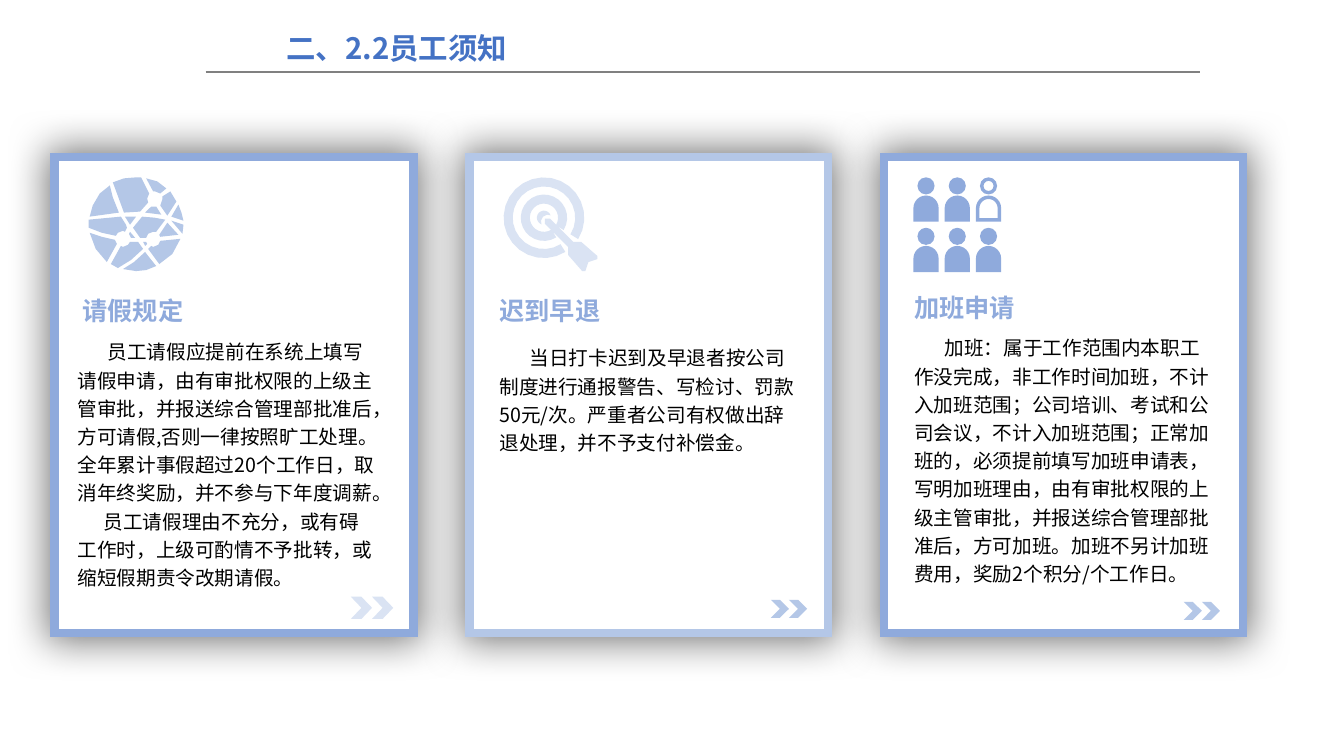
from math import cos, radians, sin

from lxml import etree
from pptx import Presentation
from pptx.dml.color import RGBColor
from pptx.enum.shapes import MSO_CONNECTOR, MSO_SHAPE
from pptx.enum.text import MSO_ANCHOR, PP_ALIGN
from pptx.oxml.ns import qn
from pptx.util import Inches, Pt

RECTANGLE, CHEVRON = MSO_SHAPE.RECTANGLE, MSO_SHAPE.CHEVRON
STRAIGHT = MSO_CONNECTOR.STRAIGHT
CENTER, LEFT = PP_ALIGN.CENTER, PP_ALIGN.LEFT
MIDDLE, TOP = MSO_ANCHOR.MIDDLE, MSO_ANCHOR.TOP
FONT = "Noto Sans CJK SC"
COLORS = {
    "title": "4472C4", "rule": "808080", "text": "000000", "white": "FFFFFF",
    "strong": "8FAADC", "soft": "B4C7E7", "pale": "DAE3F3",
}
CARD_TOP, CARD_WIDTH, CARD_HEIGHT = 1.56, 3.56, 4.72
CARD_LEFT, LAST_CARD_LEFT = 0.54, 8.77
GLOBE_CELLS = [
    [(.56, .74), (.59, .78), (.67, .88), (.57, .92), (.47, .93), (.34, .91), (.45, .84)],
    [(.54, .64), (.57, .64), (.58, .66), (.56, .68)],
    [(.41, .64), (.49, .64), (.54, .71), (.42, .82), (.29, .9), (.22, .86), (.32, .68),
     (.34, .69), (.39, .67)],
    [(.91, .61), (.83, .76), (.7, .86), (.59, .71), (.62, .68), (.64, .69), (.69, .67),
     (.71, .63)],
    [(.01, .55), (.13, .59), (.26, .62), (.28, .66), (.18, .84), (.07, .71)],
    [(.41, .54), (.46, .6), (.42, .6), (.4, .56)],
    [(.78, .45), (.89, .57), (.71, .59), (.7, .57)],
    [(.82, .43), (.94, .47), (.93, .56)],
    [(.32, .39), (.37, .47), (.38, .5), (.36, .54), (.34, .53), (.29, .55), (.27, .58),
     (.13, .55), (0, .5), (0, .42)],
    [(.53, .39), (.65, .4), (.76, .42), (.67, .54), (.64, .54), (.59, .56), (.57, .6),
     (.51, .6), (.44, .5)],
    [(.47, .39), (.41, .47), (.36, .39)],
    [(.62, .29), (.67, .29), (.72, .37), (.56, .35)],
    [(.89, .27), (.92, .35), (.94, .43), (.82, .39)],
    [(.81, .14), (.87, .24), (.78, .38), (.71, .28), (.73, .22), (.73, .19)],
    [(.21, .08), (.24, .2), (.3, .35), (.01, .39), (.04, .28), (.11, .16)],
    [(.57, .01), (.68, .04), (.77, .11), (.71, .16), (.66, .14), (.64, .14)],
    [(.47, 0), (.52, 0), (.6, .16), (.58, .21), (.59, .25), (.51, .34), (.35, .35),
     (.24, .05), (.35, .01)],
]


def rgb(name):
    return RGBColor.from_string(COLORS[name])


def add_run(para, text, size, color, bold=False):
    span = para.add_run()
    span.text = text
    span.font.size = Pt(size)
    span.font.name = FONT
    span.font.bold = bold
    span.font.color.rgb = rgb(color)
    etree.SubElement(span.font._element, qn("a:ea"), typeface=FONT)


def set_frame(frame, anchor, horizontal, vertical):
    frame.word_wrap = True
    frame.vertical_anchor = anchor
    frame.margin_left = frame.margin_right = Inches(horizontal)
    frame.margin_top = frame.margin_bottom = Inches(vertical)


def add_text(page, left, top, width, height, entries, size, color, bold=False):
    box = page.shapes.add_textbox(*map(Inches, (left, top, width, height)))
    set_frame(box.text_frame, TOP, 0.1, 0.05)
    for number, (text, indent) in enumerate(entries):
        para = box.text_frame.add_paragraph() if number else box.text_frame.paragraphs[0]
        para.alignment = LEFT
        para.line_spacing = 1.2
        para._p.get_or_add_pPr().set("indent", str(Inches(indent)))
        add_run(para, text, size, color, bold)


def paint(shape, color):
    shape.shadow.inherit = False
    shape.fill.solid()
    shape.fill.fore_color.rgb = rgb(color)
    shape.line.fill.background()
    return shape


def add_solid(page, kind, left, top, width, height, color):
    shape = page.shapes.add_shape(kind, *map(Inches, (left, top, width, height)))
    return paint(shape, color)


def add_icon(page, left, top, contours, color):
    builder = None
    for contour in contours:
        points = [(Inches(left + x), Inches(top + y)) for x, y in contour]
        if builder is None:
            builder = page.shapes.build_freeform(*points[0], scale=1.0)
        else:
            builder.move_to(*points[0])
        builder.add_line_segments(points[1:], close=True)
    paint(builder.convert_to_shape(), color)


def arc(x, y, radius, start, end, steps=12):
    angles = [radians(start + (end - start) * step / steps) for step in range(steps + 1)]
    return [(x + radius * cos(angle), y + radius * sin(angle)) for angle in angles]


def globe_icon(page, left, top):
    add_icon(page, left, top, GLOBE_CELLS, "soft")


def target_icon(page, left, top):
    rings = [arc(0.4, 0.4, outer, 58, 392, 24) + arc(0.4, 0.4, inner, 392, 58, 24)
             for outer, inner in ((0.4, 0.31), (0.23, 0.14))]
    bullseye = arc(0.4, 0.4, 0.07, 110, 340) + [(0.43, 0.37), (0.39, 0.39), (0.37, 0.43)]
    upper = [(0.46, 0.41), (0.69, 0.64), (0.77, 0.64), (0.93, 0.78), (0.93, 0.81)]
    lower = [(y, x) for x, y in reversed(upper)]
    arrow = [(0.41, 0.41)] + upper + [(0.84, 0.84)] + lower
    add_icon(page, left, top, rings + [bullseye, arrow], "pale")


def person(left, top, inset=0):
    x, y = left + 0.125, top + 0.305
    radius, bottom = 0.125 - inset, top + 0.44 - inset
    head = arc(x, top + 0.085, 0.085 - inset, 0, 360)
    body = arc(x, y, radius, 180, 360) + [(x + radius, bottom), (x - radius, bottom)]
    return [head, body]


def people_icon(page, left, top):
    contours = []
    for number in range(6):
        row, column = divmod(number, 3)
        contours += person(0.31 * column, 0.5 * row)
    contours += [hole[::-1] for hole in person(0.62, 0, 0.035)]
    add_icon(page, left, top, contours, "strong")


def add_title(page, left, top, width, height):
    title = page.shapes.title
    title.left, title.top, title.width, title.height = map(Inches, (left, top, width, height))
    set_frame(title.text_frame, MIDDLE, 0.07, 0.04)
    para = title.text_frame.paragraphs[0]
    para.alignment = CENTER
    add_run(para, "二、2.2员工须知", 21, "title", True)
    rule = page.shapes.add_connector(STRAIGHT, *map(Inches, (2.04, 0.71, 11.9, 0.71)))
    rule.line.color.rgb = rgb("rule")
    rule.line.width = Pt(1.5)
    etree.SubElement(rule._element.spPr, qn("a:effectLst"))


def add_panel(page, left, top, width, height, color):
    panel = add_solid(page, RECTANGLE, left, top, width, height, "white")
    panel.line.color.rgb = rgb(color)
    panel.line.width = Pt(6)
    etree.SubElement(panel.line._get_or_add_ln(), qn("a:miter"), lim="800000")
    effects = panel._element.spPr.find(qn("a:effectLst"))
    shadow = etree.SubElement(effects, qn("a:outerShdw"), blurRad=str(Pt(29)), dist="0",
                              dir="0", sx="102000", sy="102000", algn="ctr", rotWithShape="0")
    tint = etree.SubElement(shadow, qn("a:srgbClr"), val=COLORS["text"])
    etree.SubElement(tint, qn("a:alpha"), val="52000")


def add_card(page, left, top, width, height, card):
    add_panel(page, left, top, width, height, card["border"])
    card["icon"](page, left + card["icon_shift"], top + 0.2)
    shift, drop = card["body_at"]
    add_text(page, left + shift, top + drop, 3.15, card["body_height"],
             card["body"], 14, "text")
    shift, drop = card["heading_at"]
    add_text(page, left + shift, top + drop, 2.45, 0.46,
             [(card["heading"], 0)], 18, "strong", True)
    shift, drop, step, tall, color = card["chevrons"]
    for number in range(2):
        add_solid(page, CHEVRON, left + shift + number * step, top + drop, step, tall, color)


CARDS = [
    {"border": "strong", "icon": globe_icon, "icon_shift": 0.34,
     "heading": "请假规定", "heading_at": (0.18, 1.26),
     "body_at": (0.13, 1.72), "body_height": 2.93,
     "chevrons": (2.94, 4.36, 0.21, 0.22, "pale"),
     "body": [
         ("员工请假应提前在系统上填写请假申请，由有审批权限的上级主管审批，并报送综合管理部批准后，"
          "方可请假,否则一律按照旷工处理。全年累计事假超过20个工作日，取消年终奖励，"
          "并不参与下年度调薪。", 0.3),
         ("员工请假理由不充分，或有碍工作时，上级可酌情不予批转，或缩短假期责令改期请假。", 0.26)]},
    {"border": "soft", "icon": target_icon, "icon_shift": 0.34,
     "heading": "迟到早退", "heading_at": (0.2, 1.26),
     "body_at": (0.2, 1.78), "body_height": 1.23,
     "chevrons": (2.99, 4.39, 0.18, 0.18, "soft"),
     "body": [
         ("当日打卡迟到及早退者按公司制度进行通报警告、写检讨、罚款50元/次。"
          "严重者公司有权做出辞退处理，并不予支付补偿金。", 0.3)]},
    {"border": "strong", "icon": people_icon, "icon_shift": 0.29,
     "heading": "加班申请", "heading_at": (0.2, 1.23),
     "body_at": (0.2, 1.68), "body_height": 2.64,
     "chevrons": (2.97, 4.41, 0.18, 0.18, "soft"),
     "body": [
         ("加班：属于工作范围内本职工作没完成，非工作时间加班，不计入加班范围；公司培训、考试和公司会议，"
          "不计入加班范围；正常加班的，必须提前填写加班申请表，写明加班理由，由有审批权限的上级主管审批，"
          "并报送综合管理部批准后，方可加班。加班不另计加班费用，奖励2个积分/个工作日。", 0.3)]},
]


def main():
    deck = Presentation()
    deck.slide_width, deck.slide_height = Inches(13.33), Inches(7.5)
    page = deck.slides.add_slide(deck.slide_layouts[5])
    add_title(page, 2.32, 0.26, 3.23, 0.43)
    pitch = (LAST_CARD_LEFT - CARD_LEFT) / (len(CARDS) - 1)
    for number, card in enumerate(CARDS):
        add_card(page, CARD_LEFT + number * pitch, CARD_TOP, CARD_WIDTH, CARD_HEIGHT, card)
    deck.save("out.pptx")


if __name__ == "__main__":
    main()
